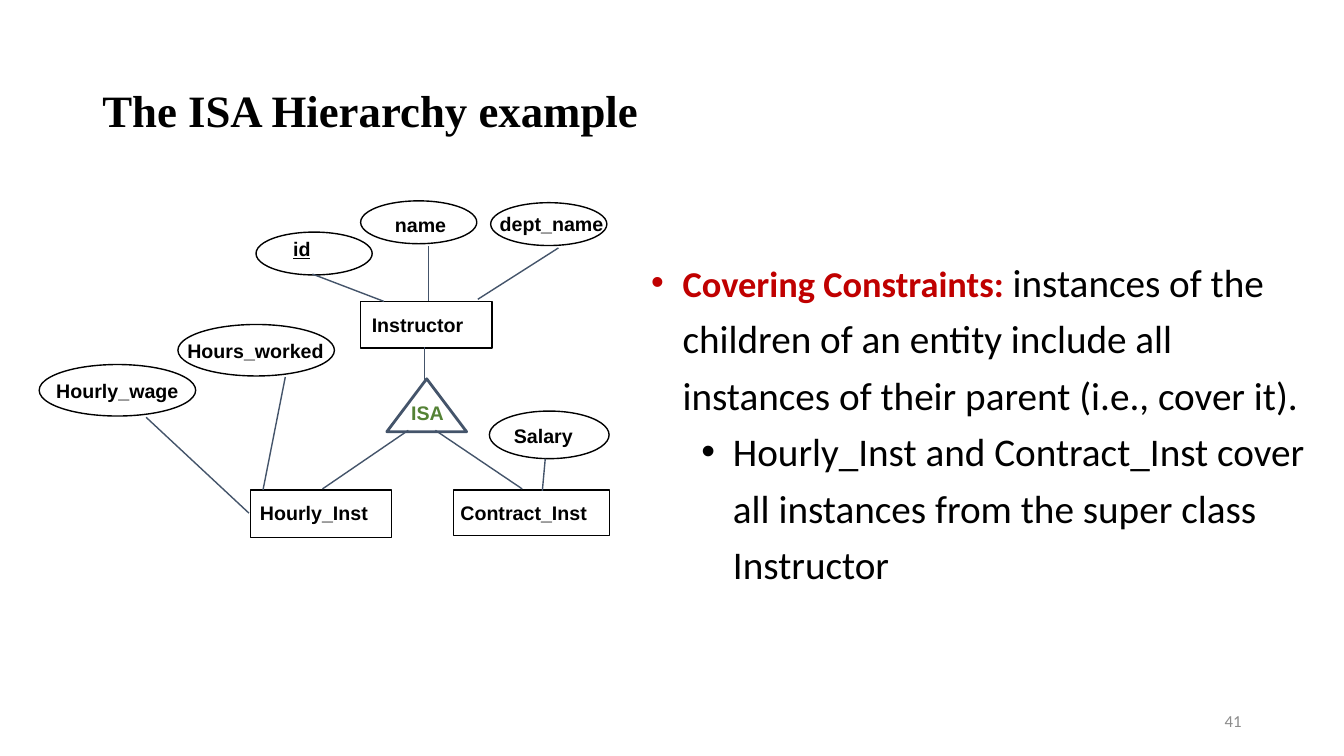
from lxml.etree import SubElement
from pptx import Presentation
from pptx.dml.color import RGBColor
from pptx.enum.shapes import MSO_CONNECTOR, MSO_SHAPE
from pptx.enum.text import MSO_ANCHOR, PP_ALIGN
from pptx.oxml.ns import qn
from pptx.util import Pt

BLACK, SLATE, RED, GREEN, GREY = "000000", "44546A", "C00000", "548235", "8C8C8C"


def tint(code):
    return RGBColor.from_string(code)


def write(para, text, font="Arial", size=14, color=BLACK, bold=False, under=False):
    run = para.add_run()
    run.text = text
    face = run.font
    face.name, face.size, face.bold = font, Pt(size), bold
    face.underline = under
    face.color.rgb = tint(color)


class Board:
    """Draws styled elements on one slide, with all lengths in points."""

    def __init__(self, slide):
        self.shapes = slide.shapes

    def box(self, x, y, wide, high, wrap=True, anchor=MSO_ANCHOR.TOP):
        frame = self.shapes.add_textbox(Pt(x), Pt(y), Pt(wide), Pt(high)).text_frame
        frame.word_wrap = wrap
        frame.vertical_anchor = anchor
        return frame

    def label(self, text, x, y, wide, **style):
        frame = self.box(x, y, wide, 24, wrap=False)
        write(frame.paragraphs[0], text, bold=True, **style)

    def outline(self, kind, x, y, wide, high, color=BLACK, width=1):
        shape = self.shapes.add_shape(kind, Pt(x), Pt(y), Pt(wide), Pt(high))
        shape.shadow.inherit = False
        shape.fill.background()
        shape.line.color.rgb = tint(color)
        shape.line.width = Pt(width)

    def link(self, x1, y1, x2, y2):
        line = self.shapes.add_connector(
            MSO_CONNECTOR.STRAIGHT, Pt(x1), Pt(y1), Pt(x2), Pt(y2))
        line.line.color.rgb = tint(SLATE)
        line.line.width = Pt(1)
        SubElement(line._element.spPr, qn("a:effectLst"))

    def bullet(self, para, level, left):
        para.level = level
        para.line_spacing = 1.2
        props = para._p.get_or_add_pPr()
        props.set("marL", str(Pt(left)))
        props.set("indent", str(Pt(-22.5)))
        SubElement(props, qn("a:buFont")).set("typeface", "Arial")
        SubElement(props, qn("a:buChar")).set("char", "•")


OVALS = [
    (182.9, 165.8, 83, 30.6),
    (257.6, 143.5, 83, 30.6),
    (350.5, 144.8, 83, 30.6),
    (28, 260.4, 111.8, 36.8),
    (127.1, 231.8, 111.8, 36.8),
    (349.6, 293.6, 85.5, 34),
]
RECTS = [
    (257.6, 215.2, 94, 33.4),
    (178.8, 350, 101, 34),
    (323.8, 350, 111.4, 32.4),
]
LABELS = [
    ("name", 275, 148.3, 51),
    ("Instructor", 258.5, 219.6, 80),
    ("Hourly_wage", 33.1, 267.1, 102),
    ("Hours_worked", 126.7, 238.3, 112),
    ("dept_name", 349.9, 147.6, 91),
    ("Salary", 360, 299.5, 57),
    ("Hourly_Inst", 178.6, 354.2, 92),
    ("Contract_Inst", 321.8, 354.2, 105),
]
LINKS = [
    (223.2, 195.8, 274.3, 215.3),
    (306, 175.7, 306, 215.3),
    (398.9, 177.1, 341.3, 213.8),
    (104.4, 298.1, 177.8, 366.5),
    (203.8, 269.3, 187.9, 349.9),
    (303.1, 272.9, 303.1, 247.7),
    (291.6, 307.4, 230.4, 349.2),
    (311, 307.4, 373, 349.2),
    (389.5, 327.6, 387.4, 350.6),
]


def main():
    deck = Presentation()
    deck.slide_width, deck.slide_height = Pt(960), Pt(540)
    board = Board(deck.slides.add_slide(deck.slide_layouts[6]))

    title = board.box(66, 28.8, 828, 104.4, anchor=MSO_ANCHOR.MIDDLE).paragraphs[0]
    title.line_spacing = 0.9
    write(title, "The ISA Hierarchy example", font="Times New Roman", size=32, bold=True)

    body = board.box(458, 174.2, 484, 249)
    cover = body.paragraphs[0]
    board.bullet(cover, 0, 22.5)
    write(cover, "Covering Constraints: ", font="Calibri", size=26, color=RED, bold=True)
    write(cover, "instances of the children of an entity include all instances "
          "of their parent (i.e., cover it).", font="Calibri", size=28)
    case = body.add_paragraph()
    board.bullet(case, 1, 58.5)
    write(case, "Hourly_Inst and Contract_Inst cover all instances from the "
          "super class Instructor", font="Calibri", size=28)

    for oval in OVALS:
        board.outline(MSO_SHAPE.OVAL, *oval)
    for rect in RECTS:
        board.outline(MSO_SHAPE.RECTANGLE, *rect)
    board.outline(MSO_SHAPE.ISOSCELES_TRIANGLE, 276.3, 270.6, 57, 37.8, SLATE, 2)
    for ends in LINKS:
        board.link(*ends)
    for item in LABELS:
        board.label(*item)
    board.label("id", 202.3, 165.6, 27, under=True)
    board.label("ISA", 286.6, 283, 38, color=GREEN)

    page = board.box(678, 500.5, 216, 28.8, anchor=MSO_ANCHOR.MIDDLE).paragraphs[0]
    page.alignment = PP_ALIGN.RIGHT
    write(page, "41", font="Calibri", size=12, color=GREY)

    deck.save("out.pptx")


if __name__ == "__main__":
    main()
